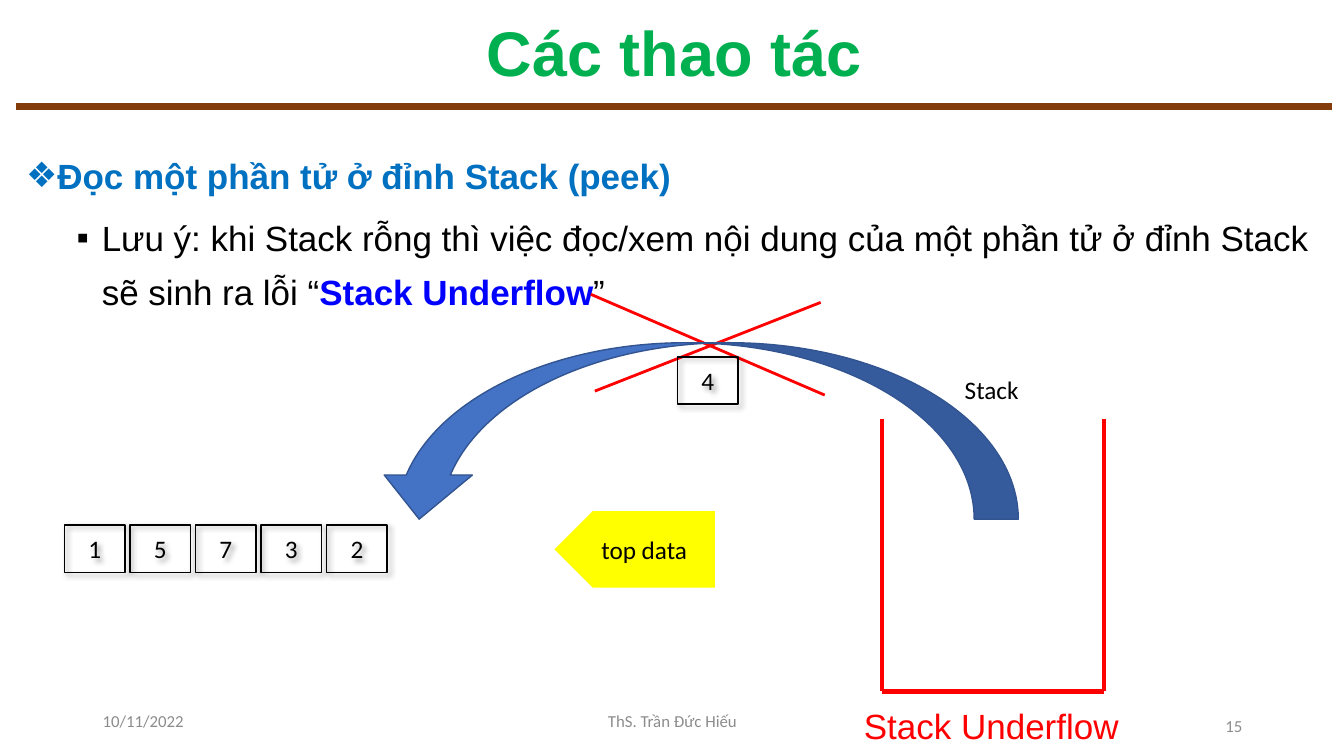
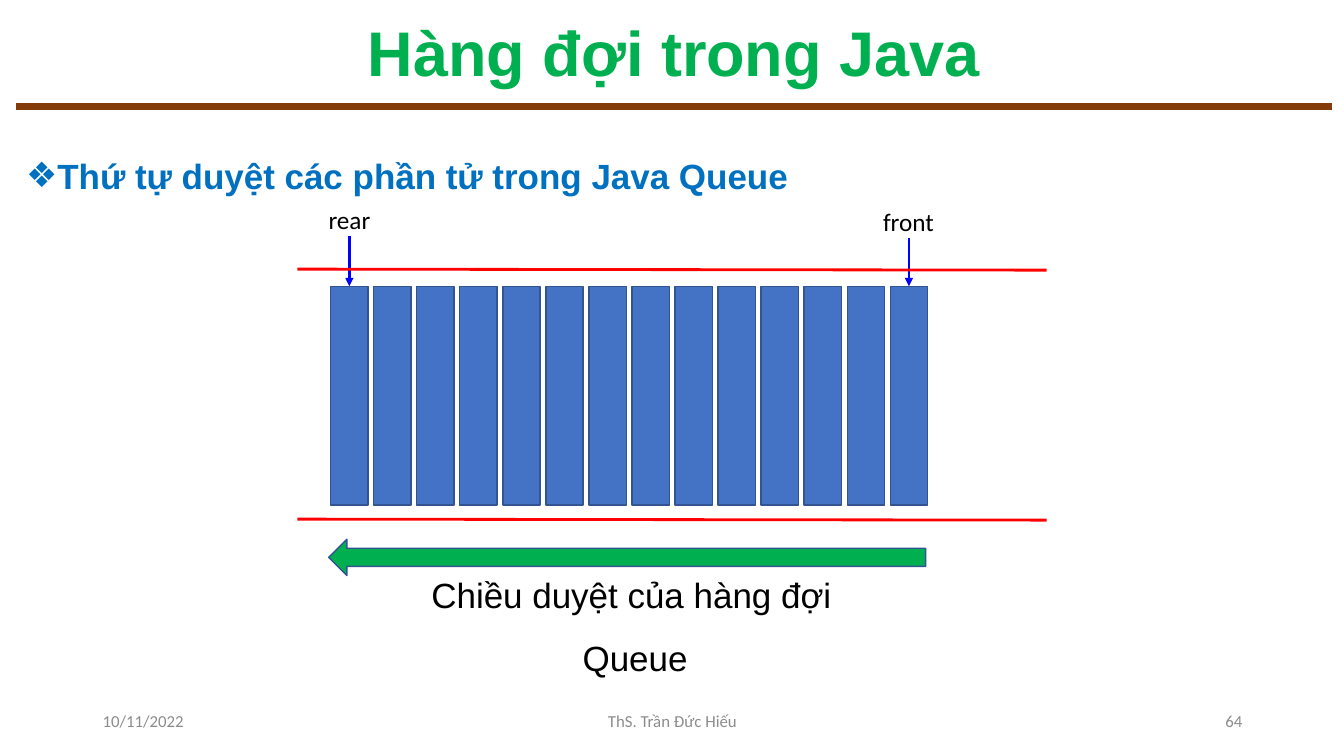
from pptx import Presentation
from pptx.dml.color import RGBColor
from pptx.enum.shapes import MSO_CONNECTOR, MSO_SHAPE as SHAPE
from pptx.enum.text import MSO_ANCHOR as ANCHOR, MSO_AUTO_SIZE as FIT, PP_ALIGN as AL
from pptx.oxml import parse_xml
from pptx.oxml.ns import nsdecls, qn
from pptx.util import Inches, Pt

# Shared style
W, H = 13.33, 7.5
EDGE, CONTENT_W = 0.16, 13.05
GREEN, BROWN, HEADING, BLUE = "00B050", "843C0B", "0070C0", "0000FF"
RED, BLACK, GREY, YELLOW = "FF0000", "000000", "8C8C8C", "FFFF00"
ACCENT, ACCENT_LINE = "4472C4", "325491"
DATE, AUTHOR = "10/11/2022", "ThS. Trần Đức Hiếu"
LEVELS = [  # bullet, left margin, space before
    ("❖", 0.25, 10),
    ("▪", 0.75, 5),
]

# Content: body paragraphs are (level, runs), runs are (text, colour, bold)
PEEK = {
    "title": "Các thao tác",
    "number": "15",
    "number_top": 7,
    "body": [
        (0, [("Đọc một phần tử ở đỉnh Stack (peek)", HEADING, True)]),
        (1, [("Lưu ý: khi Stack rỗng thì việc đọc/xem nội dung của một phần tử "
              "ở đỉnh Stack sẽ sinh ra lỗi “", BLACK, False),
             ("Stack Underflow", BLUE, True),
             ("”", BLACK, False)]),
    ],
}
QUEUE = {
    "title": "Hàng đợi trong Java",
    "number": "64",
    "number_top": 6.95,
    "body": [(0, [("Thứ tự duyệt các phần tử trong Java Queue", HEADING, True)])],
}
POPPED = ["1", "5", "7", "3", "2"]
BAR_COUNT = 14


def rgb(color):
    return RGBColor.from_string(color)


def inches(*values):
    return [Inches(v) for v in values]


def place(sp, x, y, w, h):
    sp.left, sp.top, sp.width, sp.height = inches(x, y, w, h)


def add_run(p, text, size, color=BLACK, font="Calibri", bold=False):
    r = p.add_run()
    r.text = text
    r.font.size, r.font.name, r.font.bold = Pt(size), font, bold
    r.font.color.rgb = rgb(color)


def add_label(s, text, box, size=18, color=BLACK, font="Calibri",
              align=AL.LEFT, anchor=ANCHOR.TOP, wrap=False):
    tf = s.shapes.add_textbox(*inches(*box)).text_frame
    tf.word_wrap, tf.vertical_anchor = wrap, anchor
    tf.auto_size = FIT.NONE if wrap else FIT.SHAPE_TO_FIT_TEXT
    tf.paragraphs[0].alignment = align
    add_run(tf.paragraphs[0], text, size, color, font)


def add_shape(s, kind, box, fill=None, line=None, text="", flip=False):
    sp = s.shapes.add_shape(kind, *inches(*box))
    sp.shadow.inherit = False
    if fill:
        sp.fill.solid()
        sp.fill.fore_color.rgb = rgb(fill)
    else:
        sp.fill.background()
    if line:
        sp.line.color.rgb = rgb(line)
        sp.line.width = Pt(1)
    else:
        sp.line.fill.background()
    if flip:
        sp.element.spPr.find(qn("a:xfrm")).set("flipH", "1")
    if text:
        tf = sp.text_frame
        tf.vertical_anchor = ANCHOR.MIDDLE
        tf.paragraphs[0].alignment = AL.CENTER
        add_run(tf.paragraphs[0], text, 18)
    return sp


def add_line(s, start, end, color=RED, width=2, arrow=False):
    cx = s.shapes.add_connector(MSO_CONNECTOR.STRAIGHT, *inches(*start, *end))
    cx.line.color.rgb = rgb(color)
    cx.line.width = Pt(width)
    if arrow:
        cx.line._get_or_add_ln().append(
            parse_xml(f'<a:tailEnd {nsdecls("a")} type="triangle"/>'))
    cx.element.spPr.append(parse_xml(f'<a:effectLst {nsdecls("a")}/>'))
    return cx


def add_element_box(s, x, y, text):
    """Outlined stack element with a soft shadow."""
    sp = add_shape(s, SHAPE.RECTANGLE, (x, y, 0.6, 0.47), line=BLACK, text=text)
    sp.element.spPr.find(qn("a:effectLst")).append(parse_xml(
        f'<a:outerShdw {nsdecls("a")} blurRad="{Pt(4)}" dist="{Pt(3)}" '
        f'dir="2700000" algn="tl" rotWithShape="0"><a:srgbClr val="{BLACK}">'
        '<a:alpha val="40000"/></a:srgbClr></a:outerShdw>'))


def add_bulleted(p, level, runs):
    bullet, margin, before = LEVELS[level]
    p.level, p.line_spacing, p.space_before = level, 1.3, Pt(before)
    pPr = p._p.get_or_add_pPr()
    pPr.set("marL", str(Inches(margin)))
    pPr.set("indent", str(Inches(-0.25)))
    pPr.append(parse_xml(f'<a:buFont {nsdecls("a")} typeface="Arial"/>'))
    pPr.append(parse_xml(f'<a:buChar {nsdecls("a")} char="{bullet}"/>'))
    for text, color, bold in runs:
        add_run(p, text, 25, color, "Arial", bold)


def add_slide(prs, content):
    """Title, bulleted body and footer common to every slide."""
    s = prs.slides.add_slide(prs.slide_layouts[1])
    tf = s.shapes.title.text_frame
    tf.auto_size, tf.vertical_anchor = FIT.NONE, ANCHOR.MIDDLE
    p = tf.paragraphs[0]
    p.alignment, p.line_spacing = AL.CENTER, 0.9
    add_run(p, content["title"], 45, GREEN, "Arial", True)

    tf = s.placeholders[1].text_frame
    tf.auto_size = FIT.NONE
    for i, (level, runs) in enumerate(content["body"]):
        add_bulleted(tf.add_paragraph() if i else tf.paragraphs[0], level, runs)

    for text, x, y, w, align in [
        (DATE, 0.92, 6.95, 3, AL.LEFT),
        (AUTHOR, 4.42, 6.95, 4.5, AL.CENTER),
        (content["number"], 9.42, content["number_top"], 3, AL.RIGHT),
    ]:
        add_label(s, text, (x, y, w, 0.4), 12, GREY, align=align,
                  anchor=ANCHOR.MIDDLE, wrap=True)
    return s


def set_up_layout(prs, s):
    """Place the layout's title, body and rule for all slides."""
    layout = prs.slide_layouts[1]
    for ph in layout.placeholders:
        idx = ph.placeholder_format.idx
        if idx == 0:
            place(ph, EDGE, 0.15, CONTENT_W, 0.81)
        elif idx == 1:
            place(ph, EDGE, 1.36, CONTENT_W, 6.05)
    rule = add_line(s, (EDGE, 1.06), (EDGE + CONTENT_W, 1.06), BROWN, 5)
    layout.shapes.element.append(rule.element)


def draw_stack(s):
    add_shape(s, SHAPE.PENTAGON, (5.5, 5.07, 1.59, 0.76), YELLOW,
              text="top data", flip=True)
    # Open container
    left, right, top, bottom = 8.75, 10.95, 4.16, 6.86
    add_line(s, (left, bottom), (right, bottom), width=3)
    for x in (left, right):
        add_line(s, (x, top), (x, bottom), width=3)
    add_label(s, "Stack", (9.47, 3.66, 0.74, 0.4))
    # Crossed-out move of the top element
    add_line(s, (5.86, 2.92), (8.18, 3.92))
    add_line(s, (8.14, 3), (5.9, 3.88))
    for i, text in enumerate(POPPED):
        add_element_box(s, 0.64 + i * 0.65, 5.21, text)
    add_shape(s, SHAPE.CURVED_DOWN_ARROW, (3.72, 3.4, 6.38, 1.75),
              ACCENT, ACCENT_LINE, flip=True)
    add_element_box(s, 6.72, 3.54, "4")
    add_label(s, "Stack Underflow", (8.47, 6.94, 2.75, 0.52), 25, RED, "Arial")


def draw_queue(s):
    first, last, top, bar_w = 3.28, 8.83, 2.84, 0.37
    step = (last - first) / (BAR_COUNT - 1)
    bars = [add_shape(s, SHAPE.RECTANGLE, (first + i * step, top, bar_w, 2.17),
                      ACCENT, ACCENT_LINE) for i in range(BAR_COUNT)]
    # Pointers to both ends
    for text, x, y, w, bar, bar_x in [
        ("rear", 3.16, 1.98, 0.62, bars[0], first),
        ("front", 8.66, 2, 0.71, bars[-1], last),
    ]:
        add_label(s, text, (x, y, w, 0.4))
        mid = bar_x + bar_w / 2
        pointer = add_line(s, (mid, y + 0.36), (mid, top), BLUE, arrow=True)
        pointer.end_connect(bar, 0)
    # Reading direction
    add_shape(s, SHAPE.LEFT_ARROW, (3.26, 5.35, 5.92, 0.36), GREEN, ACCENT_LINE)
    add_label(s, "Chiều duyệt của hàng đợi", (4.18, 5.64, 4.21, 0.52), 25, font="Arial")
    add_label(s, "Queue", (5.68, 6.27, 1.25, 0.52), 25, font="Arial")
    for y in (2.67, 5.15):
        add_line(s, (2.95, y), (10.38, y + 0.01))


def main():
    prs = Presentation()
    prs.slide_width, prs.slide_height = inches(W, H)
    stack = add_slide(prs, PEEK)
    set_up_layout(prs, stack)
    draw_stack(stack)
    draw_queue(add_slide(prs, QUEUE))
    prs.save("out.pptx")


if __name__ == "__main__":
    main()
